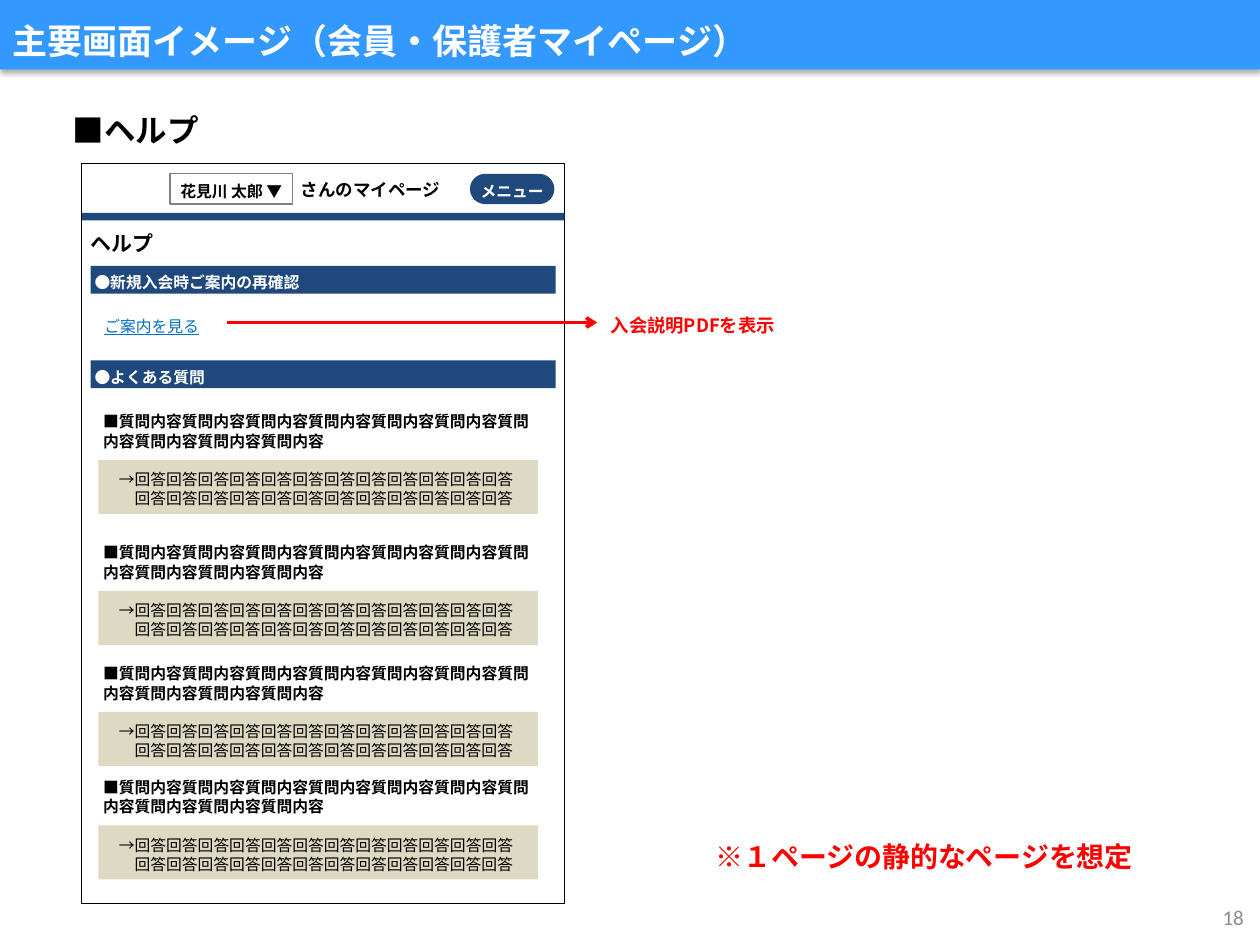
from lxml.etree import SubElement
from pptx import Presentation
from pptx.dml.color import RGBColor
from pptx.enum.shapes import MSO_CONNECTOR, MSO_SHAPE
from pptx.enum.text import MSO_ANCHOR as ANCHOR, PP_ALIGN as ALIGN
from pptx.oxml import parse_xml
from pptx.oxml.ns import nsdecls, qn
from pptx.util import Inches, Pt

FONT = "Noto Sans CJK JP"
COLORS = {
    "title": "3399FF", "navy": "1F497D", "answer": "DDD9C3", "white": "FFFFFF",
    "black": "000000", "gray": "808080", "page": "8C8C8C", "link": "0070C0",
    "note": "FF0000",
}


def rgb(name):
    return RGBColor.from_string(COLORS[name])


def format_text(p, size, color="black", bold=True, align=ALIGN.LEFT, font=FONT):
    p.alignment = align
    p.line_spacing = Pt(round(size * 1.22, 1))
    f = p.font
    f.size, f.bold, f.name = Pt(size), bold, font
    f.color.rgb = rgb(color)
    # East Asian characters need their own typeface entry
    SubElement(p._p.pPr.find(qn("a:defRPr")), qn("a:ea"), typeface=font)


def set_insets(tf, left, top, right, bottom):
    tf.margin_left, tf.margin_top = Inches(left), Inches(top)
    tf.margin_right, tf.margin_bottom = Inches(right), Inches(bottom)


def add_text(s, box, text, size, wrap=False, **style):
    tf = s.shapes.add_textbox(*map(Inches, box)).text_frame
    tf.word_wrap = wrap
    p = tf.paragraphs[0]
    p.text = text
    format_text(p, size, **style)
    return tf


def add_box(s, box, fill, line=None, shape=MSO_SHAPE.RECTANGLE):
    sp = s.shapes.add_shape(shape, *map(Inches, box))
    sp.shadow.inherit = False
    sp.fill.solid()
    sp.fill.fore_color.rgb = rgb(fill)
    if line:
        sp.line.color.rgb = rgb(line)
        sp.line.width = Pt(0.75)
    else:
        sp.line.fill.background()
    return sp


def label(sp, text, color, align=ALIGN.CENTER, left=0):
    tf = sp.text_frame
    set_insets(tf, left, 0.04, 0, 0)
    tf.vertical_anchor = ANCHOR.MIDDLE
    p = tf.paragraphs[0]
    p.text = text
    format_text(p, 9, color, align=align)


def add_title(s, box, text):
    sp = s.shapes.title
    sp.left, sp.top, sp.width, sp.height = map(Inches, box)
    sp.fill.solid()
    sp.fill.fore_color.rgb = rgb("title")
    sp._element.spPr.append(parse_xml(
        f'<a:effectLst {nsdecls("a")}><a:outerShdw blurRad="{Pt(3.1)}" dist="{Pt(1.8)}" '
        'dir="5400000" rotWithShape="0"><a:srgbClr val="000000"><a:alpha val="35000"/>'
        '</a:srgbClr></a:outerShdw></a:effectLst>'))
    tf = sp.text_frame
    set_insets(tf, 0.1, 0.08, 0.1, 0)
    tf.vertical_anchor = ANCHOR.MIDDLE
    p = tf.paragraphs[0]
    p.text = text
    format_text(p, 20, "white")


def add_header(s, x, y, w):
    """Member selector, menu button and the rule below them."""
    add_text(s, (x + 1.64, y + 0.07, 1.32, 0.27), "さんのマイページ", 10)
    label(add_box(s, (x + 0.7, y + 0.08, 0.97, 0.24), "white", "gray"),
          "花見川 太郎 ▼", "black")
    menu = add_box(s, (x + 3.08, y + 0.08, 0.67, 0.24), "navy",
                   shape=MSO_SHAPE.ROUNDED_RECTANGLE)
    menu.adjustments[0] = 0.5
    label(menu, "メニュー", "white")
    add_box(s, (x, y + 0.39, w, 0.06), "navy")


def add_section(s, x, y, text):
    label(add_box(s, (x, y, 3.69, 0.22), "navy"), text, "white", ALIGN.LEFT, 0.03)


def add_question(s, x, y):
    """One question with its answer on a shaded band."""
    add_box(s, (x + 0.06, y + 0.43, 3.49, 0.43), "answer")
    tf = add_text(s, (x, y, 3.68, 0.86), "■" + "質問内容" * 10, 9, wrap=True)
    answer = "回答" * 12
    for text, indent, gap in (("→" + answer, 9, 11), (answer, 18, 0)):
        p = tf.add_paragraph()
        p.text = text
        p._p.get_or_add_pPr().set("marL", str(Pt(indent)))
        p.space_before = Pt(gap)
        format_text(p, 9, bold=False)


def add_help_screen(s, x, y, w, h):
    add_box(s, (x, y, w, h), "white", "black")
    add_header(s, x, y, w)
    add_text(s, (x - 0.03, y + 0.48, 0.71, 0.3), "ヘルプ", 12)
    # Guidance link
    add_section(s, x + 0.07, y + 0.81, "●新規入会時ご案内の再確認")
    link = add_text(s, (x + 0.08, y + 1.16, 0.96, 0.25), "ご案内を見る", 9,
                    color="link", bold=False)
    link.paragraphs[0].font.underline = True
    # Frequently asked questions
    add_section(s, x + 0.07, y + 1.56, "●よくある質問")
    for top in (1.92, 2.96, 3.92, 4.82):
        add_question(s, x + 0.07, y + top)


def add_callout(s, x, y, length, text):
    line = s.shapes.add_connector(MSO_CONNECTOR.STRAIGHT, Inches(x), Inches(y),
                                  Inches(x + length), Inches(y))
    line.line.color.rgb = rgb("note")
    line.line.width = Pt(2)
    SubElement(line.line._get_or_add_ln(), qn("a:tailEnd"), type="arrow")
    SubElement(line._element.spPr, qn("a:effectLst"))
    add_text(s, (x + length + 0.01, y - 0.12, 1.74, 0.28), text, 10.5,
             wrap=True, color="note")


def main():
    prs = Presentation()
    prs.slide_width, prs.slide_height = Inches(10), Inches(7.5)
    s = prs.slides.add_slide(prs.slide_layouts[5])
    add_title(s, (0, 0, 10, 0.55), "主要画面イメージ（会員・保護者マイページ）")
    add_text(s, (0.48, 0.83, 1.21, 0.4), "■ヘルプ", 18)
    add_help_screen(s, 0.65, 1.3, 3.83, 5.87)
    # Notes beside the screen
    add_callout(s, 1.8, 2.56, 2.94, "入会説明PDFを表示")
    add_text(s, (5.58, 6.61, 3.97, 0.37), "※１ページの静的なページを想定", 16,
             wrap=True, color="note")
    # Page number
    page = add_text(s, (8.79, 7.08, 1.18, 0.4), "18", 12, wrap=True, color="page",
                    bold=False, align=ALIGN.RIGHT, font="Calibri")
    page.vertical_anchor = ANCHOR.MIDDLE
    prs.save("out.pptx")


if __name__ == "__main__":
    main()
